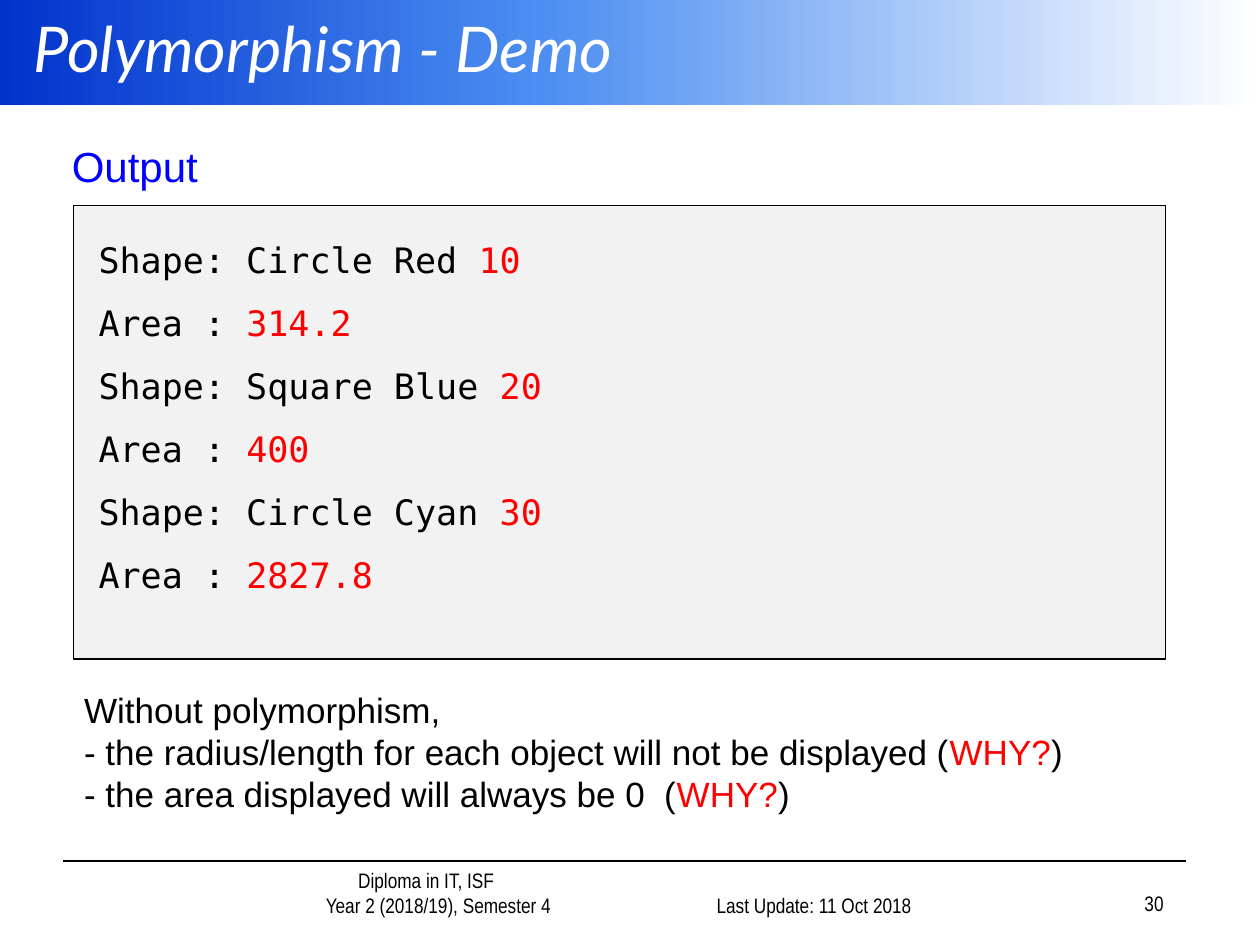
from copy import deepcopy
from dataclasses import dataclass

from pptx import Presentation
from pptx.dml.color import RGBColor as Color
from pptx.enum.shapes import MSO_CONNECTOR as Connector, MSO_SHAPE as Preset
from pptx.enum.text import MSO_ANCHOR as Anchor, PP_ALIGN as Align
from pptx.oxml.ns import qn
from pptx.util import Pt


@dataclass(frozen=True)
class Theme:
    black: str = "000000"
    white: str = "FFFFFF"
    panel: str = "F2F2F2"
    heading: str = "0000FF"
    accent: str = "FF0000"
    banner: tuple = ((0, "0033CC"), (0.43, "4C8EF1"), (1, "FFFFFF"))
    title_font: str = "Lato"
    body_font: str = "Arial"
    code_font: str = "DejaVu Sans Mono"
    footer_font: str = "Arial Narrow"
    title_size: int = 36
    heading_size: int = 24
    body_size: int = 20
    footer_size: int = 12


class SlideBuilder:
    def __init__(self, slide, theme):
        self.slide = slide
        self.theme = theme

    def rectangle(self, box, fill=None, line=None):
        shape = self.slide.shapes.add_shape(Preset.RECTANGLE, *map(Pt, box))
        shape.shadow.inherit = False
        if fill:
            shape.fill.solid()
            shape.fill.fore_color.rgb = Color.from_string(fill)
        if line:
            shape.line.color.rgb = Color.from_string(line)
            shape.line.width = Pt(1)
        else:
            shape.line.fill.background()
        return shape

    def gradient_band(self, box, stops):
        shape = self.rectangle(box)
        fill = shape.fill
        fill.gradient()
        fill.gradient_angle = 0
        # The default gradient has two stops; add one for the middle
        stop_list = shape._element.spPr.find(qn("a:gradFill")).find(qn("a:gsLst"))
        stop_list.insert(1, deepcopy(stop_list[0]))
        for stop, (position, color) in zip(fill.gradient_stops, stops):
            stop.position = position
            stop.color.rgb = Color.from_string(color)

    def rule(self, start, end):
        line = self.slide.shapes.add_connector(
            Connector.STRAIGHT, *map(Pt, start + end))
        line.line.color.rgb = Color.from_string(self.theme.black)
        line.line.width = Pt(1)
        properties = line._element.spPr
        properties.append(properties.makeelement(qn("a:effectLst"), {}))

    def text_box(self, box, lines, **style):
        shape = self.slide.shapes.add_textbox(*map(Pt, box))
        self.add_text(shape, lines, **style)

    def add_text(self, shape, lines, font, size, color=None, italic=False,
                 align=Align.LEFT, anchor=Anchor.TOP, indents=(), after=0):
        """Each line is a tuple of runs: plain, accented, plain, ..."""
        frame = shape.text_frame
        frame.word_wrap = True
        frame.vertical_anchor = anchor
        for index, line in enumerate(lines):
            paragraph = frame.paragraphs[0] if index == 0 else frame.add_paragraph()
            paragraph.alignment = align
            paragraph.space_after = Pt(after)
            paragraph.font.name = font
            paragraph.font.size = Pt(size)
            paragraph.font.italic = italic
            paragraph.font.color.rgb = Color.from_string(color or self.theme.black)
            if indents:
                indent = indents[index % len(indents)]
                paragraph._p.get_or_add_pPr().set("marL", str(Pt(indent)))
            for position, text in enumerate(line):
                run = paragraph.add_run()
                run.text = text
                if position % 2:
                    run.font.color.rgb = Color.from_string(self.theme.accent)


def main():
    presentation = Presentation()
    presentation.slide_width, presentation.slide_height = Pt(720), Pt(540)
    slide = presentation.slides.add_slide(presentation.slide_layouts[6])
    theme = Theme()
    builder = SlideBuilder(slide, theme)

    # Title banner
    builder.gradient_band((0, 0, 720, 60), theme.banner)
    builder.text_box((12, 0, 708, 54), [("Polymorphism - Demo",)],
                     font=theme.title_font, size=theme.title_size,
                     color=theme.white, italic=True, anchor=Anchor.MIDDLE)

    # Program output
    outputs = [("Circle Red", "10", "314.2"),
               ("Square Blue", "20", "400"),
               ("Circle Cyan", "30", "2827.8")]
    output_lines = []
    for name, length, area in outputs:
        output_lines += [(f"Shape: {name} ", length), ("Area : ", area)]
    panel = builder.rectangle((42, 117.5, 624, 259), theme.panel, theme.black)
    panel.text_frame.margin_top = Pt(19)
    builder.add_text(panel, output_lines, font=theme.code_font,
                     size=theme.body_size, indents=(7.2,), after=12)

    # Heading above the panel
    heading = builder.rectangle((34, 77, 330, 36), theme.white)
    builder.add_text(heading, [("Output",)], font=theme.body_font,
                     size=theme.heading_size, color=theme.heading)

    # Questions
    questions = [
        ("Without polymorphism,",),
        ("- the radius/length for each object will not be displayed (", "WHY?", ")"),
        ("- the area displayed will always be 0  (", "WHY?", ")"),
    ]
    builder.text_box((41, 390, 624, 104), questions,
                     font=theme.body_font, size=theme.body_size)

    # Footer
    builder.rule((36, 492), (678, 492))
    footer = dict(font=theme.footer_font, size=theme.footer_size,
                  anchor=Anchor.BOTTOM)
    builder.text_box((121, 498, 209, 30),
                     [("Diploma in IT, ISF",), ("Year 2 (2018/19), Semester 4",)],
                     align=Align.CENTER, indents=(36, 50), **footer)
    builder.text_box((342, 498, 186, 30), [("Last Update: 11 Oct 2018",)],
                     align=Align.RIGHT, **footer)
    builder.text_box((522, 497, 150, 30), [("30",)], align=Align.RIGHT, **footer)

    presentation.save("out.pptx")


if __name__ == "__main__":
    main()
